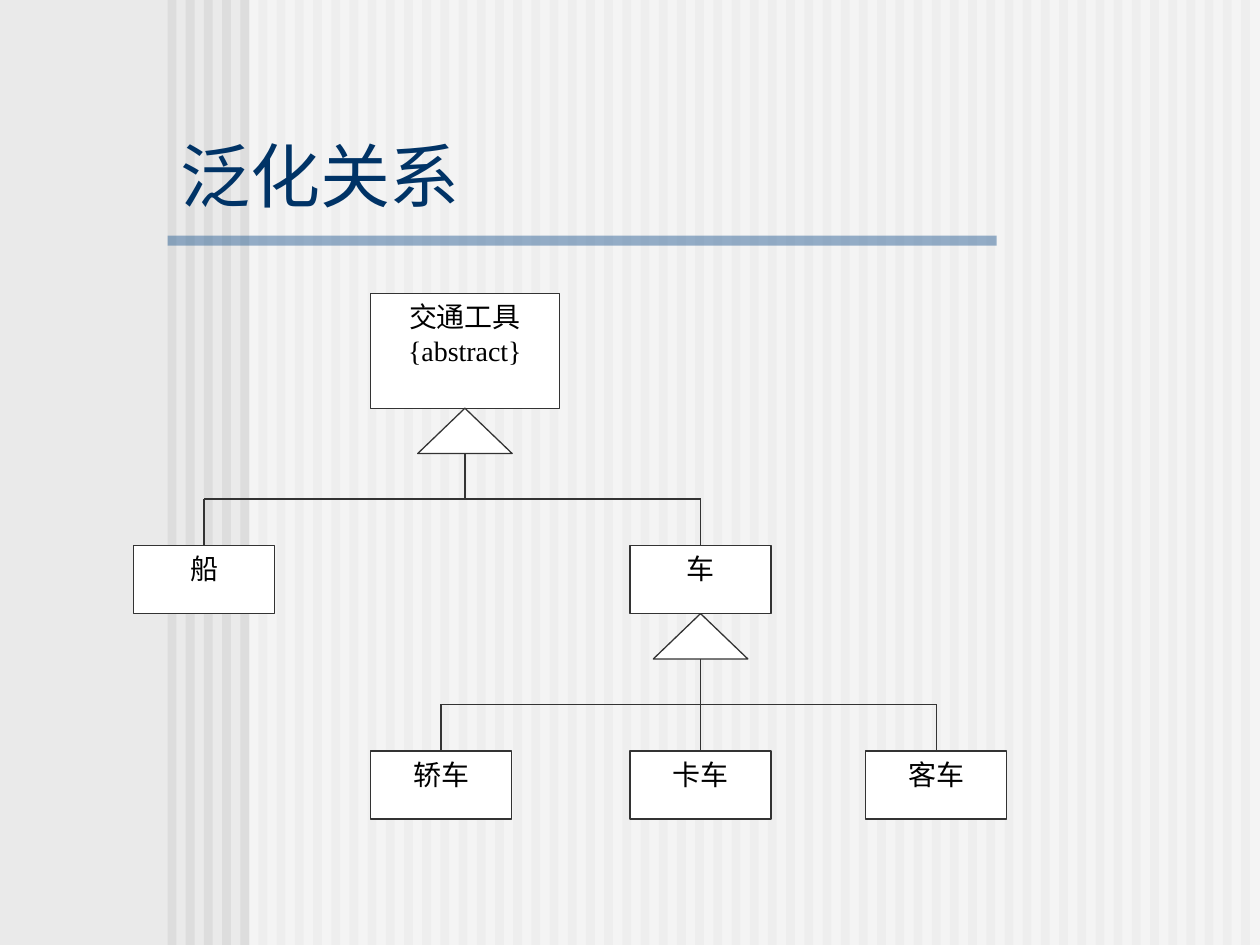
"""Builds a slide with a class tree that shows generalization."""
import pptx
import pptx.dml.color
import pptx.enum.shapes
import pptx.enum.text
import pptx.oxml
import pptx.oxml.ns
import pptx.util

TITLE = "泛化关系"
NODES = {
    "root": (["交通工具", "{abstract}"], (2.94, 2.33, 1.5, 0.91)),
    "ship": (["船"], (1.06, 4.33, 1.12, 0.54)),
    "car": (["车"], (5, 4.33, 1.12, 0.54)),
    "sedan": (["轿车"], (2.94, 5.96, 1.12, 0.54)),
    "truck": (["卡车"], (5, 5.96, 1.12, 0.54)),
    "coach": (["客车"], (6.87, 5.96, 1.12, 0.54)),
}
TREE = {"root": ["ship", "car"], "car": ["sedan", "truck", "coach"]}
TITLE_BOX = (1.33, 1.08, 7.33, 0.69)
VEIL = (1.98, 0, 8.02, 7.5)
RULE = (1.33, 1.87, 6.58, 0.08)
STRIPES = {"first": 1.33, "last": 9.85, "count": 60, "width": 0.07}
HEAD = (0.75, 0.36)
THEME = {
    "back": "EAEAEA", "stripe": "DDDDDD", "white": "FFFFFF", "rule": "336699",
    "line": "333333", "width": 0.75,
    "title": {"name": "Arial", "size": 40, "color": "003366"},
    "node": {"name": "Times New Roman", "size": 16, "color": "000000"},
}
KINDS = pptx.enum.shapes.MSO_SHAPE
ALIGN = pptx.enum.text.PP_ALIGN
ANCHOR = pptx.enum.text.MSO_ANCHOR
NS = pptx.oxml.ns.nsdecls("a")


def tint(name):
    return pptx.dml.color.RGBColor.from_string(name)


def inches(*sizes):
    return [pptx.util.Inches(size) for size in sizes]


def apply(thing, values):
    for name, value in values.items():
        setattr(thing, name, value)


def style(para, look, align):
    para.alignment = align
    apply(para.font, {"name": look["name"], "size": pptx.util.Pt(look["size"])})
    para.font.color.rgb = tint(look["color"])


def outline(shape):
    shape.line.color.rgb = tint(THEME["line"])
    shape.line.width = pptx.util.Pt(THEME["width"])


def add_block(group, box, fill, kind=KINDS.RECTANGLE, alpha=None, edge=False):
    shape = group.shapes.add_shape(kind, *inches(*box))
    shape.shadow.inherit = False
    shape.fill.solid()
    shape.fill.fore_color.rgb = tint(fill)
    if alpha:
        color = next(shape.element.spPr.iter(pptx.oxml.ns.qn("a:srgbClr")))
        color.append(pptx.oxml.parse_xml(f'<a:alpha {NS} val="{alpha * 1000}"/>'))
    if edge:
        outline(shape)
    else:
        shape.line.fill.background()
    return shape


def add_line(group, start, end):
    kind = pptx.enum.shapes.MSO_CONNECTOR.STRAIGHT
    line = group.shapes.add_connector(kind, *inches(*start, *end))
    outline(line)
    line.element.spPr.append(pptx.oxml.parse_xml(f"<a:effectLst {NS}/>"))
    return line


def add_node(group, lines, box):
    shape = add_block(group, box, THEME["white"], edge=True)
    frame = shape.text_frame
    apply(frame, {"word_wrap": True, "vertical_anchor": ANCHOR.TOP})
    frame.text = "\n".join(lines)
    for para in frame.paragraphs:
        style(para, THEME["node"], ALIGN.CENTER)
    return shape


def add_links(group, parent, kids, shapes):
    def center(name):
        left, _, width, _ = NODES[name][1]
        return left + width / 2

    wide, high = HEAD
    _, top, _, height = NODES[parent][1]
    mid, base = center(parent), top + height
    bus = base + 2 * high
    add_block(group, (mid - wide / 2, base, wide, high), THEME["white"],
              KINDS.ISOSCELES_TRIANGLE, edge=True)
    add_line(group, (mid, base + high), (mid, bus))
    for kid in kids:
        spot = center(kid)
        if spot != mid:
            add_line(group, (mid, bus), (spot, bus))
        drop = add_line(group, (spot, bus), (spot, NODES[kid][1][1]))
        drop.end_connect(shapes[kid], 0)


def add_back(slide):
    slide.background.fill.solid()
    slide.background.fill.fore_color.rgb = tint(THEME["back"])
    group = slide.shapes.add_group_shape()
    first, count = STRIPES["first"], STRIPES["count"]
    step = (STRIPES["last"] - first) / (count - 1)
    for index in range(count):
        box = (first + index * step, 0, STRIPES["width"], 7.5)
        add_block(group, box, THEME["stripe"])
    add_block(group, VEIL, THEME["white"], alpha=50)
    add_block(group, RULE, THEME["rule"], alpha=50)


def add_title(slide):
    title = slide.shapes.title
    slide.shapes.element.append(title.element)
    apply(title, dict(zip(("left", "top", "width", "height"), inches(*TITLE_BOX))))
    frame = title.text_frame
    frame.text = TITLE
    apply(frame, {"vertical_anchor": ANCHOR.BOTTOM, "word_wrap": True,
                  "auto_size": pptx.enum.text.MSO_AUTO_SIZE.NONE})
    style(frame.paragraphs[0], THEME["title"], ALIGN.LEFT)


def main():
    deck = pptx.Presentation()
    deck.slide_width, deck.slide_height = inches(10, 7.5)
    slide = deck.slides.add_slide(deck.slide_layouts[5])
    add_back(slide)
    add_title(slide)
    group = slide.shapes.add_group_shape()
    shapes = {name: add_node(group, *node) for name, node in NODES.items()}
    for parent, kids in TREE.items():
        add_links(group, parent, kids, shapes)
    deck.save("out.pptx")


if __name__ == "__main__":
    main()
